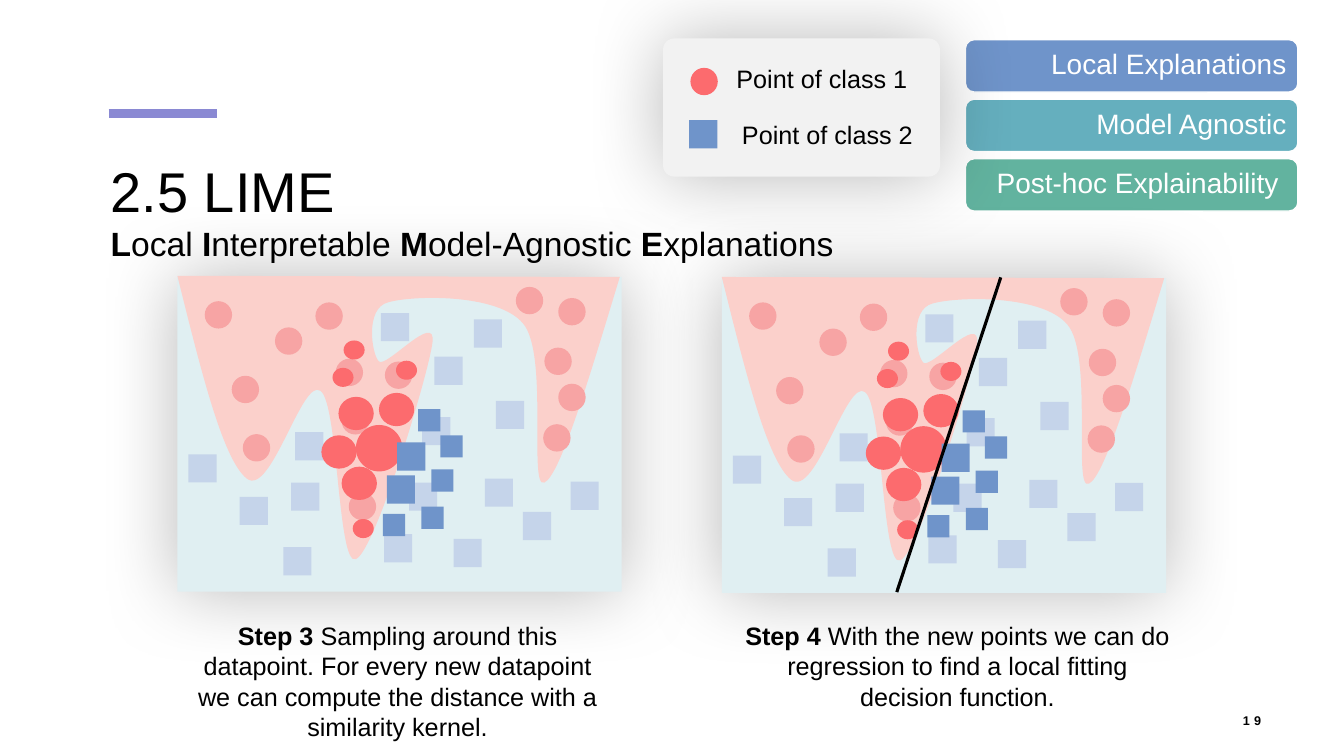
from dataclasses import dataclass

from lxml import etree
from pptx import Presentation
from pptx.dml.color import RGBColor
from pptx.enum.shapes import MSO_CONNECTOR as CONN, MSO_SHAPE as SHAPE
from pptx.enum.text import MSO_ANCHOR as ANCHOR, PP_ALIGN as ALIGN
from pptx.oxml.ns import qn
from pptx.util import Cm, Pt


@dataclass(frozen=True)
class Theme:
    font: str = "Arial"
    ink: str = "000000"
    white: str = "FFFFFF"
    accent: str = "8A89D3"
    legend: str = "F2F2F2"
    class1: str = "FC6B6E"
    class1_faded: str = "F7A4A4"
    class2: str = "6F94CA"
    class2_faded: str = "C5D4EA"
    region1: str = "FBD0CB"
    region2: str = "E0EFF2"
    tags: tuple = ("6F94CA", "65AFBE", "62B39F")
    title: int = 40
    subtitle: int = 24
    tag: int = 20
    body: int = 18
    number: int = 9


T = Theme()
DOT, SQUARE = 0.69, 0.71

# Point groups: shape, colour, width, height, top-left corners in cm from the plot corner
POINTS = [
    (SHAPE.OVAL, T.class1_faded, DOT, DOT, [
        (0.69, 0.61), (1.37, 2.49), (2.46, 1.27), (3.99, 2.06), (3.48, 0.64),
        (4.14, 3.28), (1.65, 3.96), (4.32, 5.44), (5.23, 2.13), (9.22, 3.71),
        (9.6, 2.69), (9.25, 1.78), (9.6, 0.53), (8.53, 0.25)]),
    (SHAPE.OVAL, T.class1, 1.17, 1.17, [(4.5, 3.73)]),
    (SHAPE.RECTANGLE, T.class2_faded, SQUARE, SQUARE, [
        (5.13, 0.91), (7.47, 1.07), (2.97, 3.91), (6.48, 2.01), (6.17, 3.53),
        (8.03, 3.12), (5.84, 5.18), (2.87, 5.18), (5.21, 6.48), (0.28, 4.47),
        (1.57, 5.54), (7.75, 5.08), (9.91, 5.16), (8.71, 5.92), (2.67, 6.81),
        (6.96, 6.6)]),
    (SHAPE.OVAL, T.class1, 0.89, 0.84, [
        (5.08, 2.92), (4.06, 3.02), (3.63, 3.99), (4.14, 4.78)]),
    (SHAPE.OVAL, T.class1, 0.53, 0.48, [
        (4.42, 6.1), (5.51, 2.11), (3.91, 2.29), (4.19, 1.6)]),
    (SHAPE.RECTANGLE, T.class2, SQUARE, SQUARE, [(5.54, 4.17), (5.28, 5)]),
    (SHAPE.RECTANGLE, T.class2, 0.56, 0.56, [
        (6.07, 3.33), (6.63, 3.99), (6.4, 4.85), (6.15, 5.79), (5.18, 5.97)]),
]

# Edge of the class 1 region: a start, then two controls and an end per curve
REGION_START = (0, -0.03)
REGION_CURVES = [
    ((0.58, 2.29), (1.14, 4.6), (1.75, 5.08)),
    ((2.36, 5.56), (3.15, 2.51), (3.61, 2.87)),
    ((4.06, 3.2), (4.04, 7.32), (4.5, 7.11)),
    ((4.98, 6.91), (6.32, 2.49), (6.43, 1.65)),
    ((6.53, 0.84), (5.26, 2.31), (5.08, 2.13)),
    ((4.9, 1.96), (4.72, 0.79), (5.31, 0.64)),
    ((5.92, 0.46), (8.08, 0.41), (8.71, 1.17)),
    ((9.37, 1.93), (8.84, 5.38), (9.25, 5.18)),
    ((9.65, 5), (10.39, 2.51), (11.15, 0)),
]


def rgb(value):
    return RGBColor.from_string(value)


def paint(sp, fill, line=None):
    sp.shadow.inherit = False
    sp.fill.solid()
    sp.fill.fore_color.rgb = rgb(fill)
    if line:
        sp.line.color.rgb = rgb(line)
        sp.line.width = Pt(1)
    else:
        sp.line.fill.background()
    return sp


def add_block(s, kind, x, y, w, h, fill, line=None):
    return paint(s.shapes.add_shape(kind, Cm(x), Cm(y), Cm(w), Cm(h)), fill, line)


def add_glow(sp):
    effects = sp._element.spPr.find(qn("a:effectLst"))
    shadow = etree.SubElement(effects, qn("a:outerShdw"), blurRad=str(Pt(55.6)),
                              dist="0", dir="0", algn="ctr", rotWithShape="0")
    color = etree.SubElement(shadow, qn("a:srgbClr"), val=T.ink)
    etree.SubElement(color, qn("a:alpha"), val="28000")


def add_line(s, x1, y1, x2, y2, color, width):
    line = s.shapes.add_connector(CONN.STRAIGHT, Cm(x1), Cm(y1), Cm(x2), Cm(y2))
    line.line.color.rgb = rgb(color)
    line.line.width = Pt(width)
    etree.SubElement(line._element.spPr, qn("a:effectLst"))


def add_run(p, text, size, color=T.ink, bold=False):
    r = p.add_run()
    r.text = text
    r.font.name, r.font.size, r.font.bold = T.font, Pt(size), bold
    r.font.color.rgb = rgb(color)
    return r


def add_text(s, x, y, w, h, align=ALIGN.LEFT, wrap=True):
    tf = s.shapes.add_textbox(Cm(x), Cm(y), Cm(w), Cm(h)).text_frame
    tf.word_wrap = wrap
    tf.paragraphs[0].alignment = align
    return tf


def add_tags(s, x, y, w, h, pitch):
    labels = ("Local Explanations", "Model Agnostic", "Post-hoc Explainability ")
    for i, (label, color) in enumerate(zip(labels, T.tags)):
        sp = add_block(s, SHAPE.ROUNDED_RECTANGLE, x, y + i * pitch, w, h, color, T.white)
        tf = sp.text_frame
        tf.word_wrap, tf.vertical_anchor = True, ANCHOR.MIDDLE
        tf.margin_top = tf.margin_bottom = Cm(0.2)
        tf.margin_right = Cm(0.22)
        p = tf.paragraphs[0]
        p.alignment, p.line_spacing = ALIGN.RIGHT, 0.9
        add_run(p, label, T.tag, T.white)


def add_legend(s, x, y, w, h):
    card = add_block(s, SHAPE.ROUNDED_RECTANGLE, x, y, w, h, T.legend)
    card.adjustments[0] = 0.08
    add_glow(card)
    add_block(s, SHAPE.OVAL, x + 0.69, y + 0.74, DOT, DOT, T.class1)
    add_block(s, SHAPE.RECTANGLE, x + 0.66, y + 2.06, SQUARE, SQUARE, T.class2)
    for label, dx, dy in (("Point of class 1", 1.6, 0.51), ("Point of class 2", 1.74, 1.9)):
        tf = add_text(s, x + dx, y + dy, 4.83, 1.02, wrap=False)
        add_run(tf.paragraphs[0], label, T.body)


def add_region(s, x, y):
    x0, y0 = REGION_START
    outline = s.shapes.build_freeform(Cm(x + x0), Cm(y + y0))
    outline.add_line_segments([(Cm(x + ex), Cm(y + ey)) for _, _, (ex, ey) in REGION_CURVES])
    sp = paint(outline.convert_to_shape(), T.region1)
    # Bend each straight segment into a Bézier curve
    segments = list(sp._element.iter(qn("a:lnTo")))
    for segment, curve in zip(segments, REGION_CURVES):
        bend = etree.Element(qn("a:cubicBezTo"))
        for px, py in curve:
            etree.SubElement(bend, qn("a:pt"), x=str(Cm(px - x0)), y=str(Cm(py - y0)))
        segment.getparent().replace(segment, bend)


def add_plot(s, x, y, w, h, decision_line=False):
    add_glow(add_block(s, SHAPE.RECTANGLE, x, y, w, h, T.region2))
    add_region(s, x, y)
    for kind, color, pw, ph, corners in POINTS:
        for px, py in corners:
            add_block(s, kind, x + px, y + py, pw, ph, color)
    if decision_line:
        add_line(s, x + 7.03, y - 0.02, x + 4.41, y + h - 0.02, T.ink, 2.25)


def add_caption(s, x, y, w, h, step, text):
    p = add_text(s, x, y, w, h, ALIGN.CENTER).paragraphs[0]
    add_run(p, step, T.body, bold=True)
    add_run(p, text, T.body)


def add_title(s, x, y, w, h):
    add_line(s, x + 0.2, y - 0.95, x + 2.92, y - 0.95, T.accent, 6)
    p = add_text(s, x, y, w, h).paragraphs[0]
    add_run(p, "2.5 LIME", T.title)
    p.add_line_break()
    for word in ("Local ", "Interpretable ", "Model-Agnostic ", "Explanations"):
        add_run(p, word[0], T.subtitle, bold=True)
        add_run(p, word[1:], T.subtitle)


def add_slide_number(s, x, y, w, h):
    tf = add_text(s, x, y, w, h, ALIGN.RIGHT)
    tf.vertical_anchor = ANCHOR.MIDDLE
    r = add_run(tf.paragraphs[0], "19", T.number, bold=True)
    r._r.get_or_add_rPr().set("spc", "300")


def main():
    prs = Presentation()
    prs.slide_width, prs.slide_height = Cm(33.87), Cm(19.05)
    s = prs.slides.add_slide(prs.slide_layouts[6])
    add_slide_number(s, 30.02, 17.65, 2.01, 1.02)
    add_tags(s, 24.33, 1, 8.38, 1.32, 1.5)
    add_legend(s, 16.71, 0.97, 6.98, 3.48)
    add_plot(s, 4.47, 6.98, 11.2, 7.93)
    add_plot(s, 18.19, 7.01, 11.2, 7.93, decision_line=True)
    add_caption(s, 4.42, 15.51, 11.2, 3.33, "Step 3 ",
                "Sampling around this datapoint. For every new datapoint we can "
                "compute the distance with a similarity kernel.")
    add_caption(s, 18.53, 15.51, 11.2, 2.57, "Step 4 ",
                "With the new points we can do regression to find a local fitting "
                "decision function.")
    add_title(s, 2.54, 3.81, 28.78, 3.71)
    prs.save("out.pptx")


if __name__ == "__main__":
    main()
